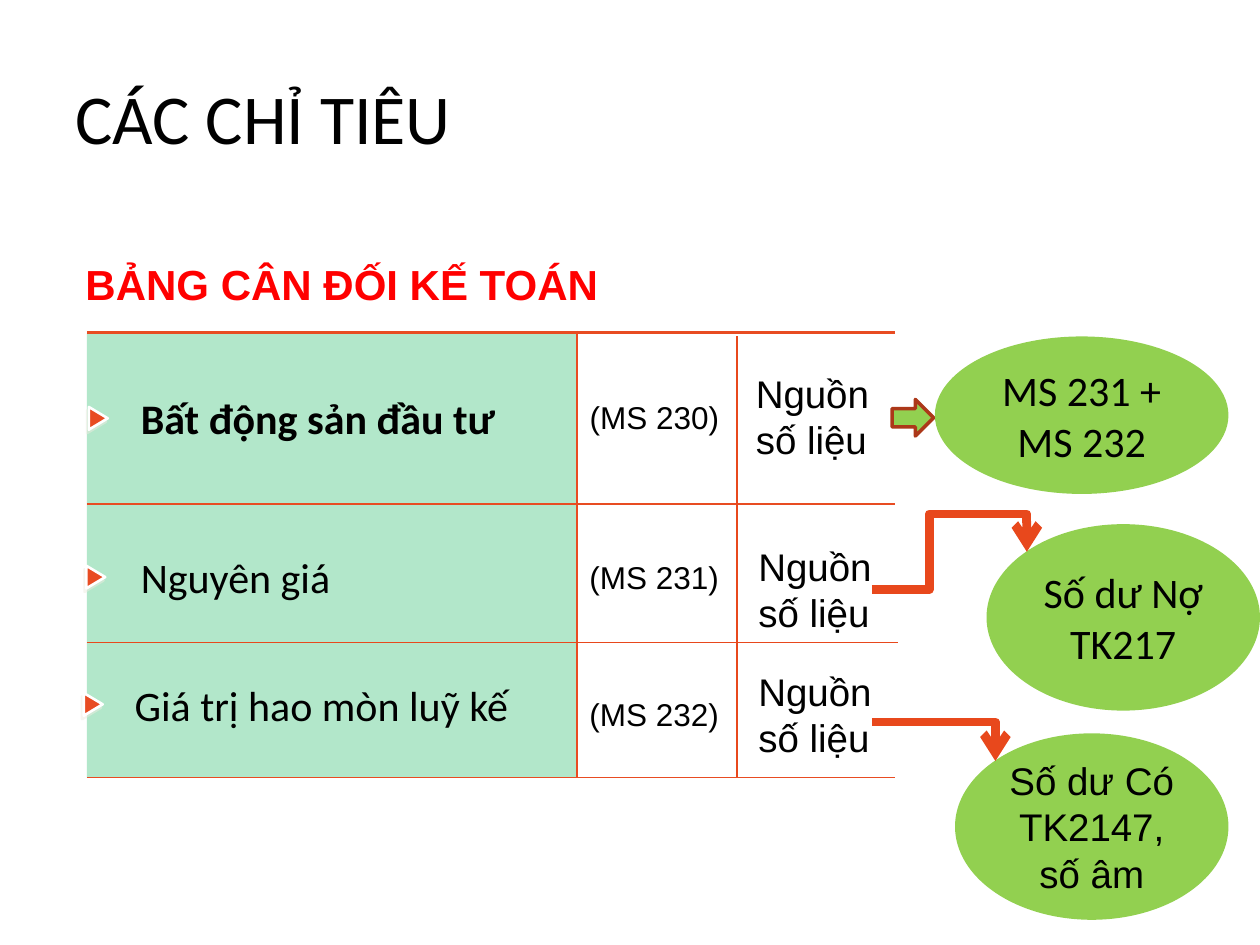
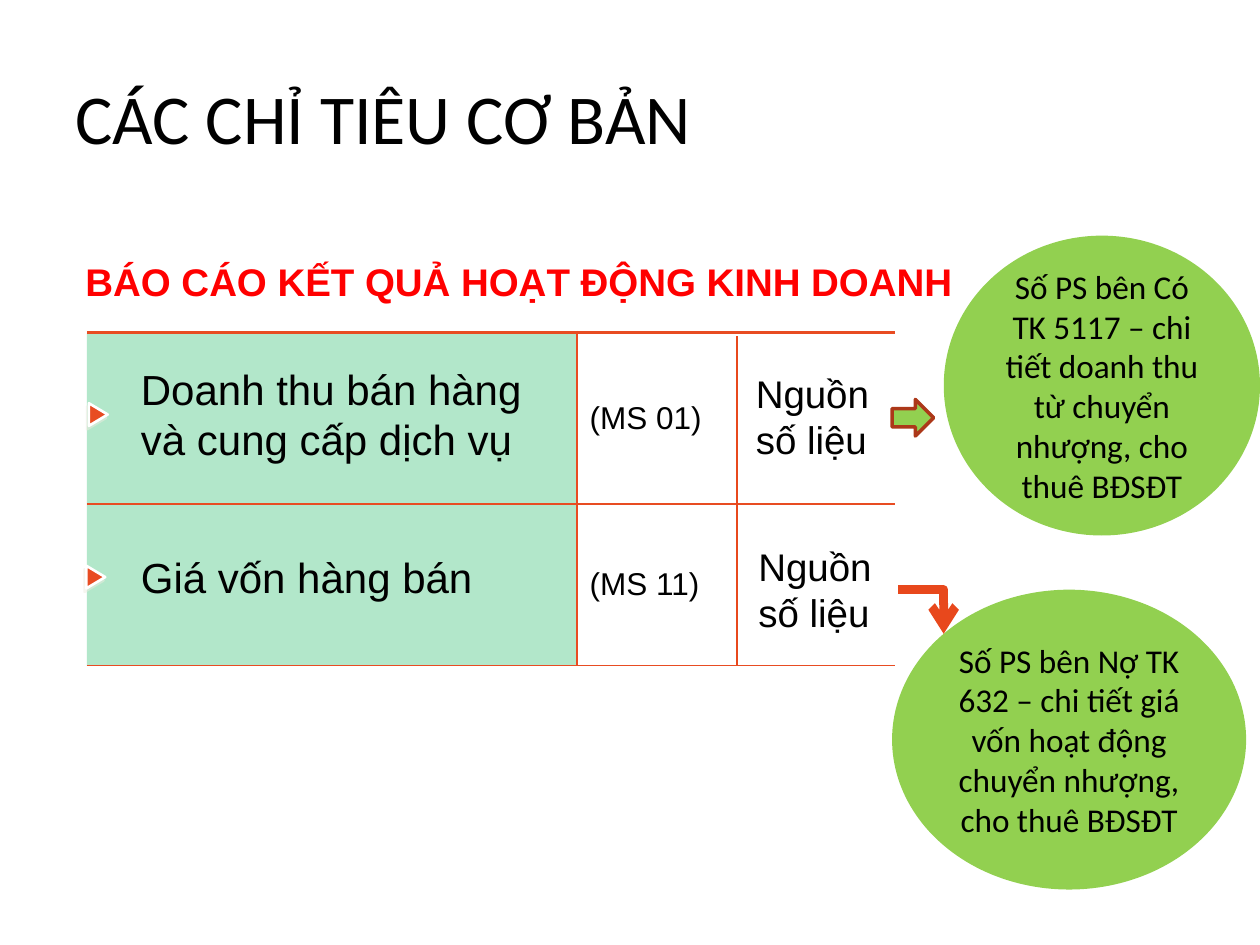
from dataclasses import dataclass

from lxml.etree import SubElement
from pptx import Presentation
from pptx.dml.color import RGBColor as RGB
from pptx.enum.shapes import MSO_CONNECTOR as CONN, MSO_SHAPE as SHAPE
from pptx.enum.text import MSO_ANCHOR as ANCHOR, PP_ALIGN as ALIGN
from pptx.oxml.ns import qn
from pptx.util import Inches, Pt


@dataclass(frozen=True)
class Theme:
    black: str = "000000"
    red: str = "FF0000"
    orange: str = "E84C22"
    line: str = "E8481C"
    arrow_edge: str = "AC3819"
    green: str = "92D050"
    cell_green: str = "00B050"
    shadow: str = "EEECE1"
    white: str = "FFFFFF"
    sans: str = "Arial"
    body: str = "Calibri"
    title_size: float = 40
    label_size: float = 24
    source_size: float = 22
    code_size: float = 18
    note_size: float = 19


@dataclass(frozen=True)
class Box:
    left: float
    top: float
    width: float
    height: float

    def inches(self):
        return [Inches(v) for v in (self.left, self.top, self.width, self.height)]

    def inner(self, dx, dy, width, height):
        return Box(self.left + dx, self.top + dy, width, height)

    def centred(self, dx, middle, width, height):
        return self.inner(dx, middle - height / 2, width, height)


@dataclass(frozen=True)
class Row:
    label: str
    middle: float
    marker_dx: float
    source_dx: float
    source_middle: float
    label_dx: float = 0.33
    lines: int = 1
    font: str = Theme.body
    bold: bool = False


T = Theme()
COLS = (3.89, 2.52)
SOURCE_COL = 5.16


def write(tf, text, size, font, color=T.black, bold=False, align=ALIGN.LEFT):
    tf.word_wrap = True
    tf.text = text
    p = tf.paragraphs[0]
    p.alignment = align
    f = p.runs[0].font
    f.size, f.name, f.bold = Pt(size), font, bold
    f.color.rgb = RGB.from_string(color)


def add_text(s, box, text, size, font, **style):
    tf = s.shapes.add_textbox(*box.inches()).text_frame
    write(tf, text, size, font, **style)


def add_solid(s, kind, box, fill, edge=None, width=0):
    sp = s.shapes.add_shape(kind, *box.inches())
    sp.shadow.inherit = False
    sp.fill.solid()
    sp.fill.fore_color.rgb = RGB.from_string(fill)
    if edge:
        sp.line.color.rgb = RGB.from_string(edge)
        sp.line.width = Pt(width)
    else:
        sp.line.fill.background()
    return sp


def add_line(s, start, end, width=0.75, kind=CONN.STRAIGHT):
    cx = s.shapes.add_connector(kind, *[Inches(v) for v in (*start, *end)])
    cx.line.color.rgb = RGB.from_string(T.line)
    cx.line.width = Pt(width)
    SubElement(cx._element.spPr, qn("a:effectLst"))
    return cx


def add_bent_arrow(s, start, end, bends=()):
    cx = add_line(s, start, end, 5, CONN.ELBOW)
    geom = cx._element.spPr.find(qn("a:prstGeom"))
    geom.set("prst", f"bentConnector{len(bends) + 2}")
    guides = geom.find(qn("a:avLst"))
    if guides is None:
        guides = SubElement(geom, qn("a:avLst"))
    for i, share in enumerate(bends, 1):
        SubElement(guides, qn("a:gd"), name=f"adj{i}", fmla=f"val {round(share * 100000)}")
    SubElement(cx.line._get_or_add_ln(), qn("a:tailEnd"), type="arrow")


def add_marker(s, box):
    sp = add_solid(s, SHAPE.ISOSCELES_TRIANGLE, box, T.orange, T.white, 1.5)
    sp.rotation = 90
    effects = sp._element.spPr.find(qn("a:effectLst"))
    shadow = SubElement(effects, qn("a:outerShdw"), dist=str(Pt(2.2)),
                        dir=str(117 * 60000), algn="ctr", rotWithShape="0")
    color = SubElement(shadow, qn("a:srgbClr"), val=T.shadow)
    SubElement(color, qn("a:alpha"), val="50000")


def set_borders(cell, widths):
    tc_pr = cell._tc.get_or_add_tcPr()
    for i, edge in enumerate("LRTB"):
        ln = SubElement(tc_pr, qn(f"a:ln{edge}"), w=str(Pt(widths.get(edge, 0))))
        if edge in widths:
            fill = SubElement(ln, qn("a:solidFill"))
            SubElement(fill, qn("a:srgbClr"), val=T.orange)
        else:
            SubElement(ln, qn("a:noFill"))


def add_grid(s, box, heights, codes):
    table = s.shapes.add_table(len(heights), len(COLS), *box.inches()).table
    table.first_row = table.horz_banding = False
    for col, width in zip(table.columns, COLS):
        col.width = Inches(width)
    for i, (row, height, code) in enumerate(zip(table.rows, heights, codes)):
        row.height = Inches(height)
        label, number = row.cells
        edges = {"T": 1 if i else 2.25, "B": 1}
        set_borders(label, {**edges, "R": 1})
        set_borders(number, {**edges, "L": 1})
        label.fill.solid()
        label.fill.fore_color.rgb = RGB.from_string(T.cell_green)
        color = label._tc.tcPr.find(qn("a:solidFill"))[0]
        SubElement(color, qn("a:alpha"), val="30000")
        number.fill.background()
        number.vertical_anchor = ANCHOR.MIDDLE
        if code:
            write(number.text_frame, code, T.code_size, T.sans)


def add_row(s, box, row):
    add_marker(s, box.centred(row.marker_dx, row.middle, 0.18, 0.15))
    add_text(s, box.centred(row.label_dx, row.middle, 3.56, 0.09 + 0.41 * row.lines),
             row.label, T.label_size, row.font, bold=row.bold)
    add_text(s, box.centred(row.source_dx, row.source_middle, 1.21, 0.84),
             "Nguồn số liệu", T.source_size, T.sans)


def add_bubble(s, box, text, size, font=T.body):
    sp = add_solid(s, SHAPE.OVAL, box, T.green)
    sp.text_frame.vertical_anchor = ANCHOR.MIDDLE
    write(sp.text_frame, text, size, font, align=ALIGN.CENTER)


def add_report(prs, title, heading, heading_size, box, heights, codes, rows):
    s = prs.slides.add_slide(prs.slide_layouts[5])
    ph = s.shapes.title
    ph.left, ph.top, ph.width, ph.height = Box(0.5, 0.3, 9, 1.25).inches()
    ph.text_frame.vertical_anchor = ANCHOR.MIDDLE
    write(ph.text_frame, title, T.title_size, T.body)
    add_grid(s, box, heights, codes)
    add_text(s, box.inner(-0.11, -0.64, 8.08, 0.5), heading, heading_size, T.sans,
             color=T.red, bold=True)
    x = box.left + SOURCE_COL
    add_line(s, (x, box.top + 0.03), (x, box.top + box.height))
    for row in rows:
        add_row(s, box, row)
    add_solid(s, SHAPE.RIGHT_ARROW, box.inner(6.39, 0.53, 0.33, 0.29),
              T.green, T.arrow_edge, 2)
    return s


def balance_sheet(prs, box):
    rows = [
        Row("Bất động sản đầu tư", 0.68, 0, 5.21, 0.67, bold=True),
        Row("Nguyên giá", 1.94, -0.02, 5.23, 2.04),
        Row("Giá trị hao mòn luỹ kế", 2.95, -0.04, 5.23, 3.03, label_dx=0.28),
    ]
    s = add_report(prs, "CÁC CHỈ TIÊU", "BẢNG CÂN ĐỐI KẾ TOÁN", 24, box,
                   (1.36, 2.17), ("(MS 230)", ""), rows)
    y = box.top + 2.46
    add_line(s, (box.left, y), (box.left + 6.44, y))
    for code, middle in (("(MS 231)", 1.94), ("(MS 232)", 3.03)):
        add_text(s, box.centred(COLS[0], middle, 1.25, 0.4), code, T.code_size, T.sans)
    add_bubble(s, Box(7.42, 2.67, 2.33, 1.25), "MS 231 + MS 232", T.label_size)
    add_bubble(s, Box(7.83, 4.16, 2.17, 1.48), "Số dư Nợ TK217", T.label_size)
    add_bubble(s, Box(7.58, 5.82, 2.17, 1.48), "Số dư Có TK2147, số âm",
               T.source_size, T.sans)
    add_bent_arrow(s, (6.92, 4.68), (8.15, 4.38), (0.37, 2))
    add_bent_arrow(s, (6.92, 5.73), (7.9, 6.04))


def income_statement(prs, box):
    rows = [
        Row("Doanh thu bán hàng và cung cấp dịch vụ", 0.65, 0, 5.21, 0.67,
            lines=2, font=T.sans),
        Row("Giá vốn hàng bán", 1.94, -0.02, 5.23, 2.04, font=T.sans),
    ]
    s = add_report(prs, "CÁC CHỈ TIÊU CƠ BẢN", "BÁO CÁO KẾT QUẢ HOẠT ĐỘNG KINH DOANH",
                   22, box, (1.36, 1.28), ("(MS 01)", "(MS 11)"), rows)
    add_bubble(s, Box(7.08, 4.68, 2.81, 2.38),
               "Số PS bên Nợ TK 632 – chi tiết giá vốn hoạt động chuyển nhượng, "
               "cho thuê BĐSĐT", T.note_size)
    add_bubble(s, Box(7.49, 1.87, 2.51, 2.38),
               "Số PS bên Có TK 5117 – chi tiết doanh thu từ chuyển nhượng, "
               "cho thuê BĐSĐT", T.note_size)
    add_bent_arrow(s, (7.13, 4.68), (7.49, 5.03))


def main():
    prs = Presentation()
    prs.slide_width, prs.slide_height = Inches(10), Inches(7.5)
    balance_sheet(prs, Box(0.69, 2.64, 6.42, 3.53))
    income_statement(prs, Box(0.69, 2.64, 6.42, 2.64))
    prs.save("out.pptx")


if __name__ == "__main__":
    main()
